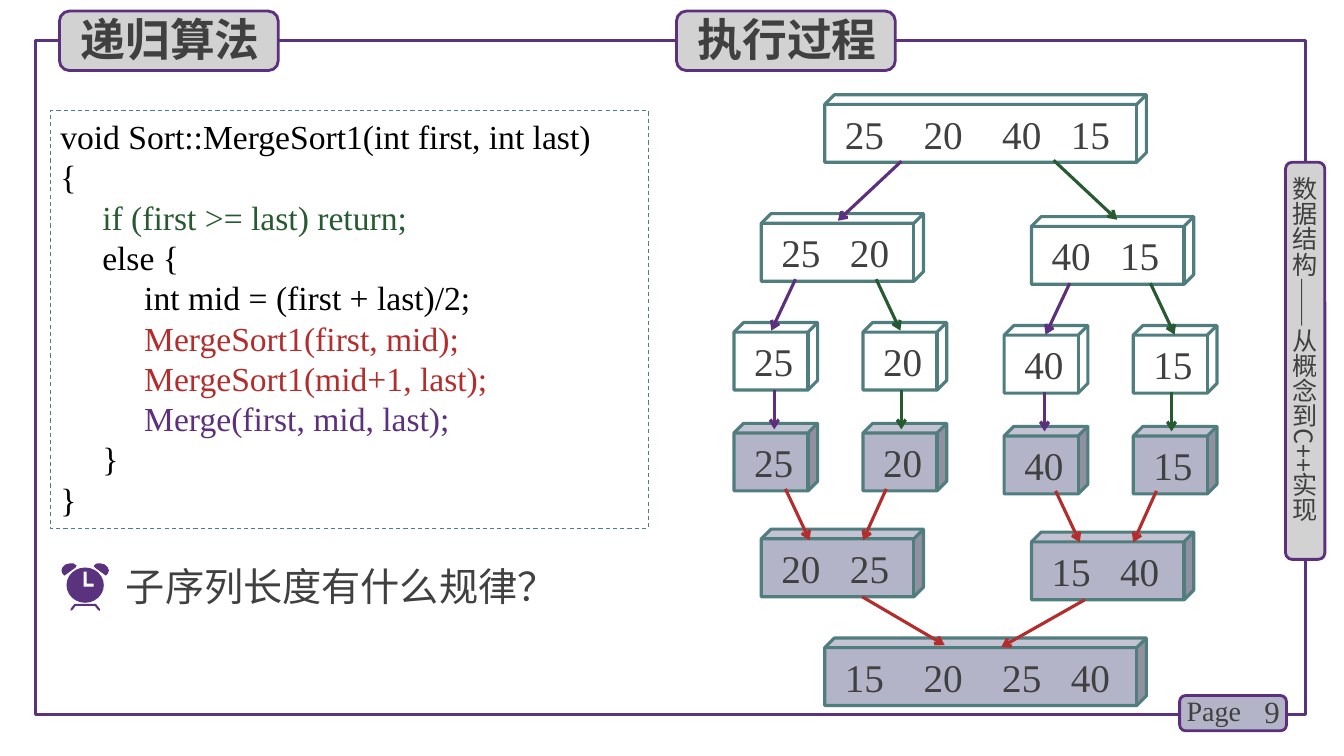
import lxml.etree
import pptx
import pptx.dml.color
import pptx.enum.dml
import pptx.enum.shapes
import pptx.enum.text
import pptx.oxml.ns
import pptx.util

PX = 9144
SHAPES = pptx.enum.shapes.MSO_SHAPE
ALIGN = pptx.enum.text.PP_ALIGN
ANCHOR = pptx.enum.text.MSO_ANCHOR
SERIF, HAN = "Times New Roman", "Noto Sans CJK SC"
PURPLE, FRAME, TEAL = "5C307D", "5A327D", "507D7D"
GREEN, RED, INK, BLACK = "285A32", "B42D2D", "404040", "000000"
GREY, LAVENDER, WHITE = "D2D2D2", "B4B4C8", "FFFFFF"

TITLES = [("递归算法", 59), ("执行过程", 671)]
SIDE_TEXT = "数据结构——从概念到C++实现"
QUESTION = "子序列长度有什么规律？"
CODE = [
    ("void Sort::MergeSort1(int first, int last)", BLACK),
    ("{", BLACK),
    ("     if (first >= last) return;", GREEN),
    ("     else {", BLACK),
    ("          int mid = (first + last)/2;", BLACK),
    ("          MergeSort1(first, mid);", RED),
    ("          MergeSort1(mid+1, last);", RED),
    ("          Merge(first, mid, last);", PURPLE),
    ("     }", BLACK),
    ("}", BLACK),
]

CUBE_HEIGHT = 67
CUBE_WIDTHS = {1: 83, 2: 161, 4: 319}
TAB_STOPS = {1: [], 2: [68], 4: [78, 156, 224]}
WHOLE_CUBES = [((25, 20, 40, 15), 818, 94, None), ((15, 20, 25, 40), 818, 633, LAVENDER)]
HALVES = [((25, 20), (20, 25), 0, 0), ((40, 15), (15, 40), 268, 3)]
HALF_LEFT, HALF_TOP, MERGED_TOP = 755, 212, 525
SINGLE_LEFTS, SINGLE_TOPS = (728, 856), ((320, None), (420, LAVENDER))

WHOLE_ARROWS = [
    ((894, 160), (831, 219), PURPLE),
    ((1045, 159), (1108, 218), GREEN),
    ((855, 592), (937, 640), RED),
    ((1076, 595), (993, 642), RED),
]
HALF_ARROWS = [
    ((789, 277), (765, 328), PURPLE, (272, 4)),
    ((869, 277), (893, 328), GREEN, (272, 4)),
    ((768, 387), (768, 426), PURPLE, (268, 2)),
    ((894, 387), (894, 426), GREEN, (268, 2)),
    ((879, 485), (856, 536), RED, (268, 2)),
    ((779, 485), (803, 536), RED, (268, 2)),
]

CLOCK_AXIS = 169
BELL = [(64, 571), (75, 563), (76, 561), (73, 559), (69, 559),
        (65, 560), (62, 563), (61, 566), (62, 569)]
LEG = [(85, 601), (75, 601), (72, 605), (70, 606), (70, 604), (74, 599), (85, 599)]
HANDS = [(83, 567), (86, 567), (86, 579), (93, 579), (93, 582), (83, 582)]


def emu(*lengths):
    return [length * PX for length in lengths]


def color(value):
    return pptx.dml.color.RGBColor.from_string(value)


def paint(shape, fill, line=None, width=2):
    shape.shadow.inherit = False
    if fill:
        shape.fill.solid()
        shape.fill.fore_color.rgb = color(fill)
    else:
        shape.fill.background()
    if line:
        shape.line.color.rgb = color(line)
        shape.line.width = pptx.util.Pt(width)
    else:
        shape.line.fill.background()


def add_box(kind, place, fill, line=None, width=2):
    shape = slide.shapes.add_shape(kind, *emu(*place))
    paint(shape, fill, line, width)
    return shape


def style(para, size, font, ink, bold=False):
    for span in para.runs:
        span.font.size = pptx.util.Pt(size)
        span.font.name = font
        span.font.bold = bold
        span.font.color.rgb = color(ink)
        east = lxml.etree.SubElement(span.font._element, pptx.oxml.ns.qn("a:ea"))
        east.set("typeface", font)


def write(box, lines, size, font, bold=False, align=ALIGN.LEFT,
          anchor=ANCHOR.TOP, margins=(10, 5, 10, 5), tabs=()):
    frame = box.text_frame
    frame.word_wrap = True
    frame.vertical_anchor = anchor
    (frame.margin_left, frame.margin_top,
     frame.margin_right, frame.margin_bottom) = emu(*margins)
    frame.text = "\n".join(words for words, ink in lines)
    for para, (words, ink) in zip(frame.paragraphs, lines):
        para.alignment = align
        if tabs:
            stops = lxml.etree.SubElement(para._p.get_or_add_pPr(), pptx.oxml.ns.qn("a:tabLst"))
            for position in tabs:
                stop = lxml.etree.SubElement(stops, pptx.oxml.ns.qn("a:tab"))
                stop.set("pos", str(position * PX))
                stop.set("algn", "l")
        style(para, size, font, ink, bold)


def add_label(place, words, size, font, **options):
    box = slide.shapes.add_textbox(*emu(*place))
    write(box, [(words, INK)], size, font, **options)
    return box


def add_cube(values, left, top, fill):
    count = len(values)
    cube = add_box(SHAPES.CUBE, (left, top, CUBE_WIDTHS[count], CUBE_HEIGHT), fill, TEAL, 2.25)
    cube.adjustments[0] = 0.143
    write(cube, [("\t".join(map(str, values)), INK)], 28, SERIF, anchor=ANCHOR.MIDDLE,
          margins=(20, 5, 0, 5), tabs=TAB_STOPS[count])


def add_arrow(start, end, ink, shift=(0, 0)):
    points = [start[0] + shift[0], start[1] + shift[1], end[0] + shift[0], end[1] + shift[1]]
    arrow = slide.shapes.add_connector(pptx.enum.shapes.MSO_CONNECTOR.STRAIGHT, *emu(*points))
    arrow.line.color.rgb = color(ink)
    arrow.line.width = pptx.util.Pt(2.25)
    head = lxml.etree.SubElement(arrow.line._get_or_add_ln(), pptx.oxml.ns.qn("a:tailEnd"))
    head.set("type", "arrow")
    lxml.etree.SubElement(arrow._element.spPr, pptx.oxml.ns.qn("a:effectLst"))


def add_outline(points, fill):
    builder = slide.shapes.build_freeform(*points[0], scale=PX)
    builder.add_line_segments(points[1:], close=True)
    paint(builder.convert_to_shape(), fill)


def mirror(points):
    return [(CLOCK_AXIS - x, y) for x, y in reversed(points)]


deck = pptx.Presentation()
deck.slide_width, deck.slide_height = emu(1333, 750)
slide = deck.slides.add_slide(deck.slide_layouts[6])

add_box(SHAPES.RECTANGLE, (35, 40, 1260, 669), None, FRAME, 2.25)
add_box(SHAPES.ROUNDED_RECTANGLE, (1170, 690, 106, 35), LAVENDER, PURPLE)
add_label((1220, 686, 59, 40), "9", 22, SERIF, align=ALIGN.RIGHT, anchor=ANCHOR.MIDDLE)
add_label((1167, 683, 78, 44), "Page", 20, SERIF)
add_box(SHAPES.ROUNDED_RECTANGLE, (1275, 161, 39, 394), GREY, PURPLE)
side = add_label((1279, 175, 30, 378), SIDE_TEXT, 18, HAN, margins=(0, 0, 0, 0))
side.text_frame._txBody.bodyPr.set("vert", "eaVert")

for title, left in TITLES:
    add_box(SHAPES.ROUNDED_RECTANGLE, (left, 11, 217, 59), GREY, PURPLE)
    add_label((left + 11, 7, 210, 64), title, 32, HAN, bold=True)

code_box = add_box(SHAPES.RECTANGLE, (50, 110, 593, 414), None, TEAL, 0.75)
code_box.line.dash_style = pptx.enum.dml.MSO_LINE.DASH
write(code_box, CODE, 24, SERIF)

for cube in WHOLE_CUBES:
    add_cube(*cube)
for unsorted, merged, across, down in HALVES:
    add_cube(unsorted, HALF_LEFT + across, HALF_TOP + down, None)
    for value, left in zip(unsorted, SINGLE_LEFTS):
        for top, fill in SINGLE_TOPS:
            add_cube((value,), left + across, top + down, fill)
    add_cube(merged, HALF_LEFT + across, MERGED_TOP + down, LAVENDER)

for arrow in WHOLE_ARROWS:
    add_arrow(*arrow)
for start, end, ink, shift in HALF_ARROWS:
    add_arrow(start, end, ink)
    add_arrow(start, end, ink, shift)

add_outline(LEG + mirror(LEG), FRAME)
add_outline(BELL, FRAME)
add_outline(mirror(BELL), FRAME)
add_box(SHAPES.OVAL, (66, 563, 37, 35), FRAME)
add_outline(HANDS, WHITE)
add_label((115, 553, 488, 57), QUESTION, 28, HAN)

deck.save("out.pptx")
